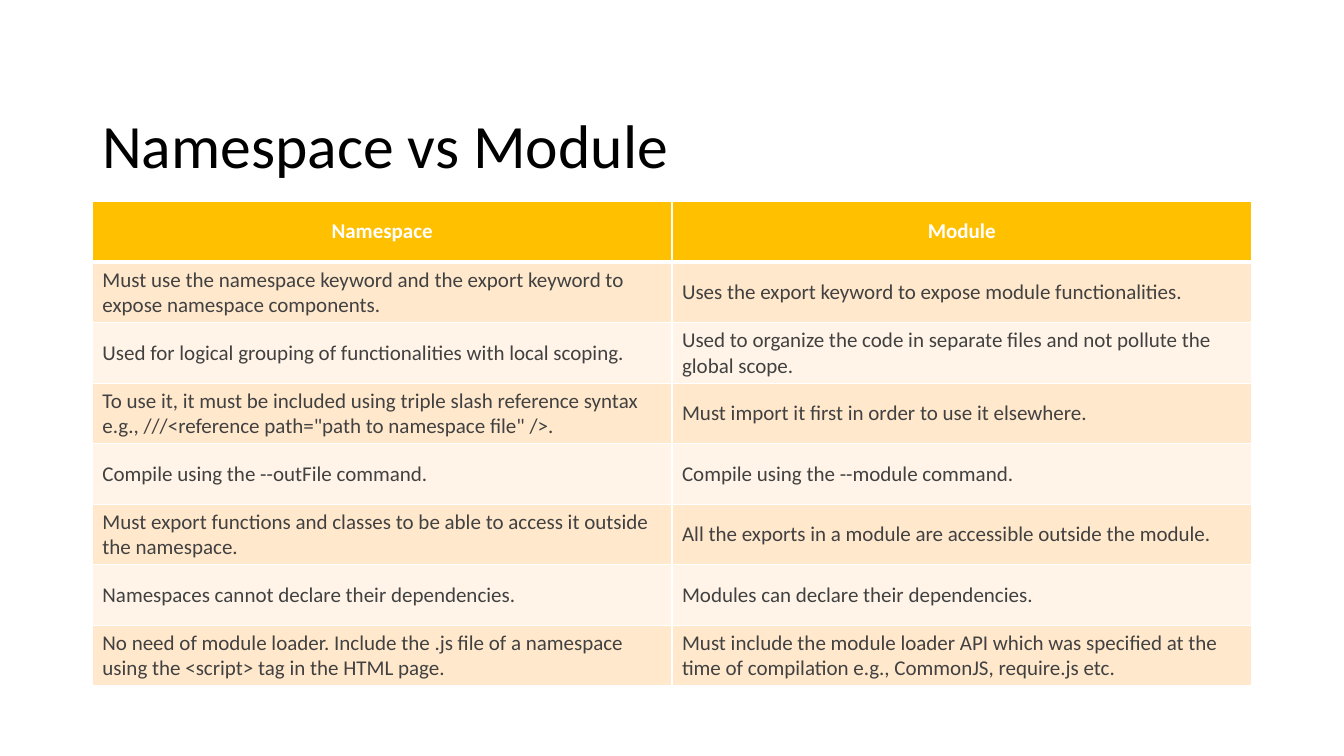
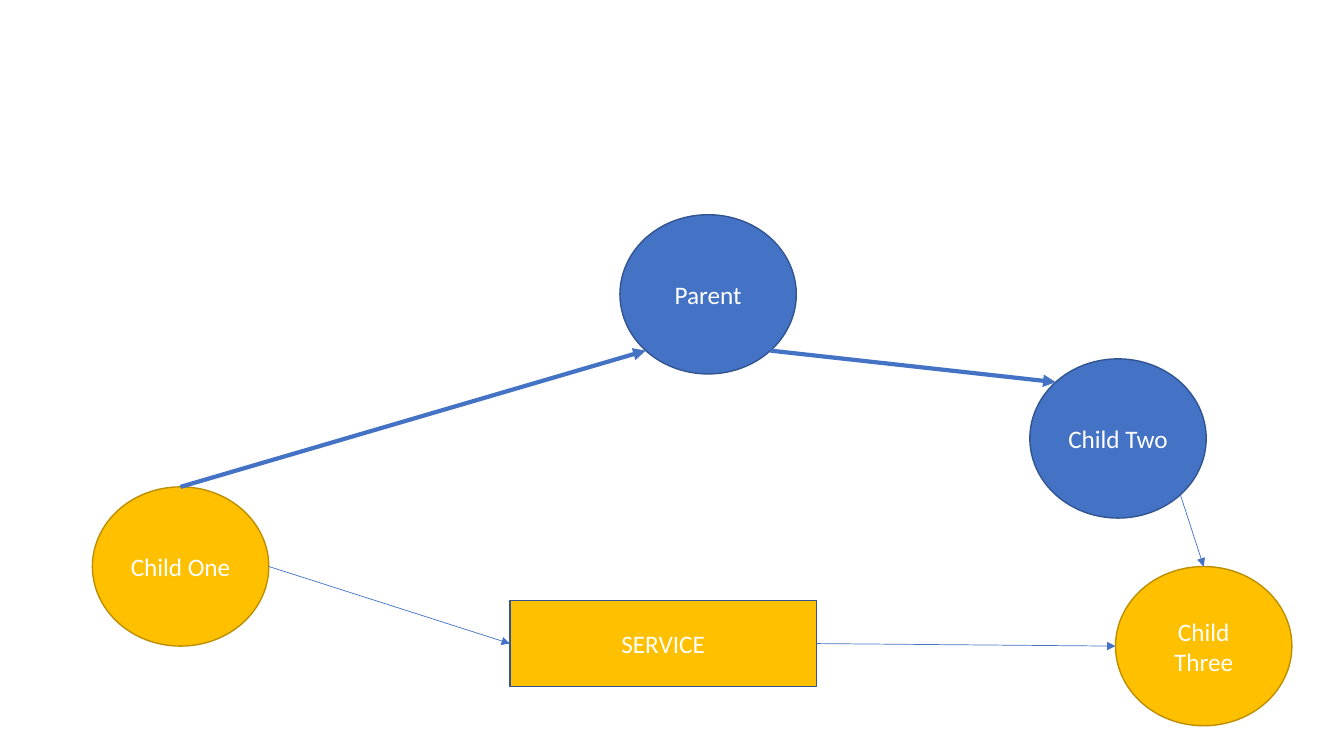
from dataclasses import dataclass
from math import sqrt

from lxml.etree import SubElement
from pptx import Presentation
from pptx.dml.color import RGBColor
from pptx.enum.shapes import MSO_CONNECTOR, MSO_SHAPE
from pptx.enum.text import MSO_ANCHOR, PP_ALIGN
from pptx.oxml.ns import qn
from pptx.util import Inches, Pt


@dataclass(frozen=True)
class Theme:
    font: str = "Calibri"
    title_size: int = 44
    node_size: int = 18
    table_size: int = 15
    black: str = "000000"
    white: str = "FFFFFF"
    text: str = "414141"
    gold: str = "FFC000"
    gold_edge: str = "BD8E00"
    blue: str = "4472C4"
    blue_edge: str = "325491"
    bands: tuple = ("FFE8CC", "FFF4E7")


theme = Theme()
rgb = RGBColor.from_string

prs = Presentation()
prs.slide_width, prs.slide_height = Inches(40 / 3), Inches(7.5)
COL, ROW = prs.slide_width / 160, prs.slide_height / 75
LEFT, WIDTH = 11, 138  # content margin and width in grid columns
blank = prs.slide_layouts[6]


def box(left, top, width, height):
    """Turn grid columns and rows into lengths."""
    return [round(v) for v in (left * COL, top * ROW, width * COL, height * ROW)]


def style(p, size, color, bold=False, align=PP_ALIGN.LEFT):
    p.alignment = align
    p.font.name, p.font.size, p.font.bold = theme.font, Pt(size), bold
    p.font.color.rgb = rgb(color)


# Comparison table
s = prs.slides.add_slide(blank)
tf = s.shapes.add_textbox(*box(LEFT, 4, WIDTH, 14.5)).text_frame
tf.word_wrap = True
tf.vertical_anchor = MSO_ANCHOR.BOTTOM
tf.text = "Namespace vs Module"
p = tf.paragraphs[0]
p.line_spacing = 0.9
style(p, theme.title_size, theme.black)

rows = [
    ("Namespace", "Module"),
    ("Must use the namespace keyword and the export keyword to expose namespace components.",
     "Uses the export keyword to expose module functionalities."),
    ("Used for logical grouping of functionalities with local scoping.",
     "Used to organize the code in separate files and not pollute the global scope."),
    ('To use it, it must be included using triple slash reference syntax e.g., '
     '///<reference path="path to namespace file" />.',
     "Must import it first in order to use it elsewhere."),
    ("Compile using the --outFile command.",
     "Compile using the --module command."),
    ("Must export functions and classes to be able to access it outside the namespace.",
     "All the exports in a module are accessible outside the module."),
    ("Namespaces cannot declare their dependencies.",
     "Modules can declare their dependencies."),
    ("No need of module loader. Include the .js file of a namespace using the <script> tag "
     "in the HTML page.",
     "Must include the module loader API which was specified at the time of compilation "
     "e.g., CommonJS, require.js etc."),
]
table = s.shapes.add_table(len(rows), 2, *box(LEFT, 20, WIDTH, 6 * len(rows))).table
for i, row in enumerate(rows):
    header = i == 0
    for j, words in enumerate(row):
        cell = table.cell(i, j)
        cell.text = words
        cell.vertical_anchor = MSO_ANCHOR.MIDDLE
        if header:
            style(cell.text_frame.paragraphs[0], theme.table_size, theme.white,
                  bold=True, align=PP_ALIGN.CENTER)
        else:
            style(cell.text_frame.paragraphs[0], theme.table_size, theme.text)
        tc_pr = cell._tc.get_or_add_tcPr()
        for side in ("lnL", "lnR", "lnT", "lnB"):
            heavy = (header and side == "lnB") or (i == 1 and side == "lnT")
            ln = SubElement(tc_pr, qn(f"a:{side}"), w=str(Pt(3 if heavy else 1)))
            SubElement(SubElement(ln, qn("a:solidFill")), qn("a:srgbClr"), val=theme.white)
        cell.fill.solid()
        cell.fill.fore_color.rgb = rgb(theme.gold if header else theme.bands[(i - 1) % 2])

# Component diagram
s = prs.slides.add_slide(blank)
CIRCLE = (21, 15.8)
nodes = [
    ("Parent", MSO_SHAPE.OVAL, (73.8, 21.3, *CIRCLE), theme.blue, theme.blue_edge),
    ("Child One", MSO_SHAPE.OVAL, (LEFT, 48.3, *CIRCLE), theme.gold, theme.gold_edge),
    ("Child Two", MSO_SHAPE.OVAL, (122.6, 35.6, *CIRCLE), theme.blue, theme.blue_edge),
    ("Child Three", MSO_SHAPE.OVAL, (132.8, 56.2, *CIRCLE), theme.gold, theme.gold_edge),
    ("SERVICE", MSO_SHAPE.RECTANGLE, (60.7, 59.6, 36.5, 8.5), theme.gold, theme.blue_edge),
]
shapes = {}
for name, kind, place, fill, edge in nodes:
    sp = s.shapes.add_shape(kind, *box(*place))
    sp.shadow.inherit = False
    sp.fill.solid()
    sp.fill.fore_color.rgb = rgb(fill)
    sp.line.color.rgb, sp.line.width = rgb(edge), Pt(1)
    tf = sp.text_frame
    tf.word_wrap = True
    tf.vertical_anchor = MSO_ANCHOR.MIDDLE
    tf.text = name
    style(tf.paragraphs[0], theme.node_size, theme.white, align=PP_ALIGN.CENTER)
    shapes[name] = sp

# Points on a node's edge, in half widths and half heights from its centre
DIAG = sqrt(0.5)
TOP, LEFT_SIDE, RIGHT_SIDE = (0, -1), (-1, 0), (1, 0)
TOP_LEFT, LOWER_LEFT, LOWER_RIGHT = (-DIAG, -DIAG), (-DIAG, DIAG), (DIAG, DIAG)
RECT_SITES = {LEFT_SIDE: 1, RIGHT_SIDE: 3}

arrows = [
    ("Child One", TOP, "Parent", LOWER_LEFT, 3),
    ("Parent", LOWER_RIGHT, "Child Two", TOP_LEFT, 3),
    ("Child Two", LOWER_RIGHT, "Child Three", TOP, 0.5),
    ("Child One", RIGHT_SIDE, "SERVICE", LEFT_SIDE, 0.5),
    ("SERVICE", RIGHT_SIDE, "Child Three", LEFT_SIDE, 0.5),
]
for start, start_side, end, end_side, weight in arrows:
    ends = []
    for name, (dx, dy) in ((start, start_side), (end, end_side)):
        sp = shapes[name]
        ends += [round(sp.left + sp.width * (1 + dx) / 2),
                 round(sp.top + sp.height * (1 + dy) / 2)]
    arrow = s.shapes.add_connector(MSO_CONNECTOR.STRAIGHT, *ends)
    if start == "SERVICE":
        arrow.begin_connect(shapes[start], RECT_SITES[start_side])
    if end == "SERVICE":
        arrow.end_connect(shapes[end], RECT_SITES[end_side])
    arrow.line.color.rgb, arrow.line.width = rgb(theme.blue), Pt(weight)
    sp_pr = arrow._element.spPr
    SubElement(sp_pr.find(qn("a:ln")), qn("a:tailEnd"), type="triangle")
    SubElement(sp_pr, qn("a:effectLst"))

prs.save("out.pptx")
